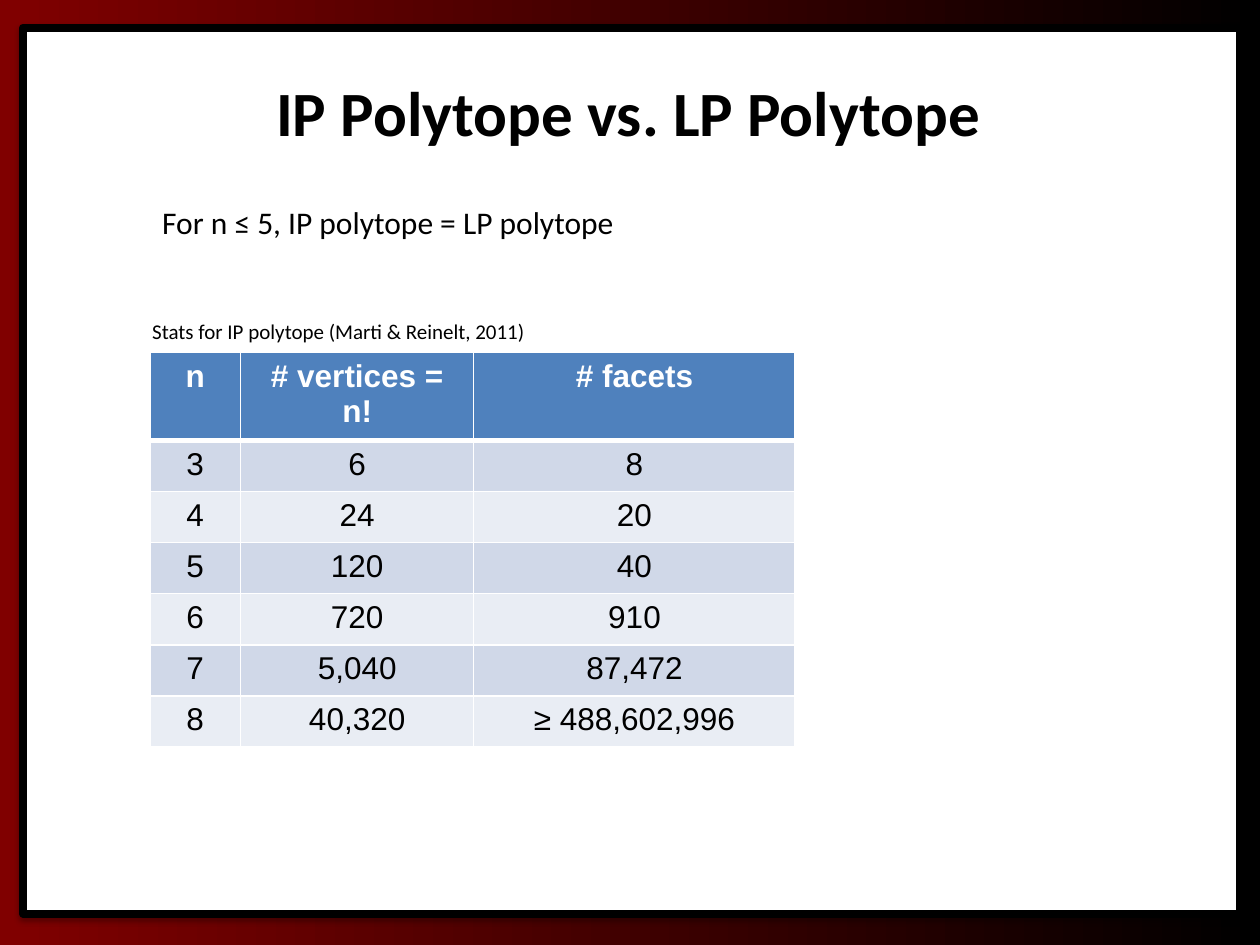
from lxml.etree import SubElement
from pptx import Presentation
from pptx.dml.color import RGBColor
from pptx.enum.shapes import MSO_SHAPE
from pptx.enum.text import MSO_ANCHOR, MSO_AUTO_SIZE, PP_ALIGN
from pptx.oxml import parse_xml
from pptx.oxml.ns import nsdecls, qn
from pptx.util import Cm, Pt

COLORS = {
    "maroon": "800000", "black": "000000", "white": "FFFFFF",
    "header": "4F81BD", "band": "D0D8E8", "plain": "E9EDF4",
}
ROWS = [
    ("n", "# vertices = n!", "# facets"),
    ("3", "6", "8"),
    ("4", "24", "20"),
    ("5", "120", "40"),
    ("6", "720", "910"),
    ("7", "5,040", "87,472"),
    ("8", "40,320", "≥ 488,602,996"),
]


def rgb(name):
    return RGBColor.from_string(COLORS[name])


class SlideBuilder:
    body_font = "Calibri"
    table_font = "Arial"

    def __init__(self, prs):
        self.s = prs.slides.add_slide(prs.slide_layouts[5])

    def background(self, start, end):
        fill = self.s.background.fill
        fill.gradient()
        fill.gradient_angle = 0
        for stop, color in zip(fill.gradient_stops, (start, end)):
            stop.color.rgb = rgb(color)

    def add_run(self, tf, text, color="black", align=PP_ALIGN.LEFT, **fmt):
        p = tf.paragraphs[0]
        p.alignment = align
        r = p.add_run()
        r.text = text
        for key, value in ({"name": self.body_font, "bold": False} | fmt).items():
            setattr(r.font, key, value)
        r.font.color.rgb = rgb(color)

    def panel(self, *box):
        sp = self.s.shapes.add_shape(MSO_SHAPE.RECTANGLE, *map(Cm, box))
        sp.fill.solid()
        sp.fill.fore_color.rgb = rgb("white")
        sp.line.color.rgb = rgb("black")
        sp.line.width = Pt(4.5)
        # Soft shadow below the panel
        sp._element.spPr.append(parse_xml(
            f'<a:effectLst {nsdecls("a")}><a:outerShdw blurRad="{Pt(3.1)}" '
            f'dist="{Pt(1.8)}" dir="5400000" rotWithShape="0">'
            f'<a:srgbClr val="{COLORS["black"]}"><a:alpha val="35000"/></a:srgbClr>'
            '</a:outerShdw></a:effectLst>'))
        # Behind the title placeholder
        self.s.shapes._spTree.insert(2, sp._element)

    def title(self, text, *box):
        sp = self.s.shapes.title
        sp.left, sp.top, sp.width, sp.height = map(Cm, box)
        tf = sp.text_frame
        tf.vertical_anchor = MSO_ANCHOR.MIDDLE
        self.add_run(tf, text, align=PP_ALIGN.CENTER, size=Pt(36), bold=True)

    def text(self, text, size, *box):
        tf = self.s.shapes.add_textbox(*map(Cm, box)).text_frame
        tf.word_wrap = True
        tf.auto_size = MSO_AUTO_SIZE.SHAPE_TO_FIT_TEXT
        self.add_run(tf, text, size=Pt(size))

    def border(self, cell, side, width):
        ln = SubElement(cell._tc.get_or_add_tcPr(), qn(f"a:ln{side}"), w=str(Pt(width)))
        fill = SubElement(ln, qn("a:solidFill"))
        SubElement(fill, qn("a:srgbClr"), val=COLORS["white"])

    def table(self, rows, left, top, widths, row_height):
        tbl = self.s.shapes.add_table(
            len(rows), len(widths), Cm(left), Cm(top),
            Cm(sum(widths)), Cm(row_height * len(rows))).table
        for col, width in zip(tbl.columns, widths):
            col.width = Cm(width)
        for i, values in enumerate(rows):
            tbl.rows[i].height = Cm(row_height)
            head = i == 0
            fill = "header" if head else "band" if i % 2 else "plain"
            for j, value in enumerate(values):
                cell = tbl.cell(i, j)
                # The line under the header is thicker
                for side in "LRTB":
                    thick = (i, side) in ((0, "B"), (1, "T"))
                    self.border(cell, side, 3 if thick else 1)
                cell.fill.solid()
                cell.fill.fore_color.rgb = rgb(fill)
                self.add_run(cell.text_frame, value, "white" if head else "black",
                             PP_ALIGN.CENTER, name=self.table_font,
                             size=Pt(18), bold=head)


def main():
    prs = Presentation()
    prs.slide_width, prs.slide_height = Cm(25.4), Cm(19.05)
    b = SlideBuilder(prs)

    # Frame and title
    b.background("maroon", "black")
    b.panel(0.46, 0.56, 24.54, 17.86)
    b.title("IP Polytope vs. LP Polytope", 0.64, 0.66, 24.05, 3.18)

    # Statement, table and its caption
    b.text("For n ≤ 5, IP polytope = LP polytope", 18, 3.02, 3.96, 10.62, 1.03)
    b.table(ROWS, 3.02, 7.1, (1.83, 4.7, 6.48), 1.03)
    b.text("Stats for IP polytope (Marti & Reinelt, 2011)", 12, 2.82, 6.3, 13.94, 0.77)

    prs.save("out.pptx")


if __name__ == "__main__":
    main()
